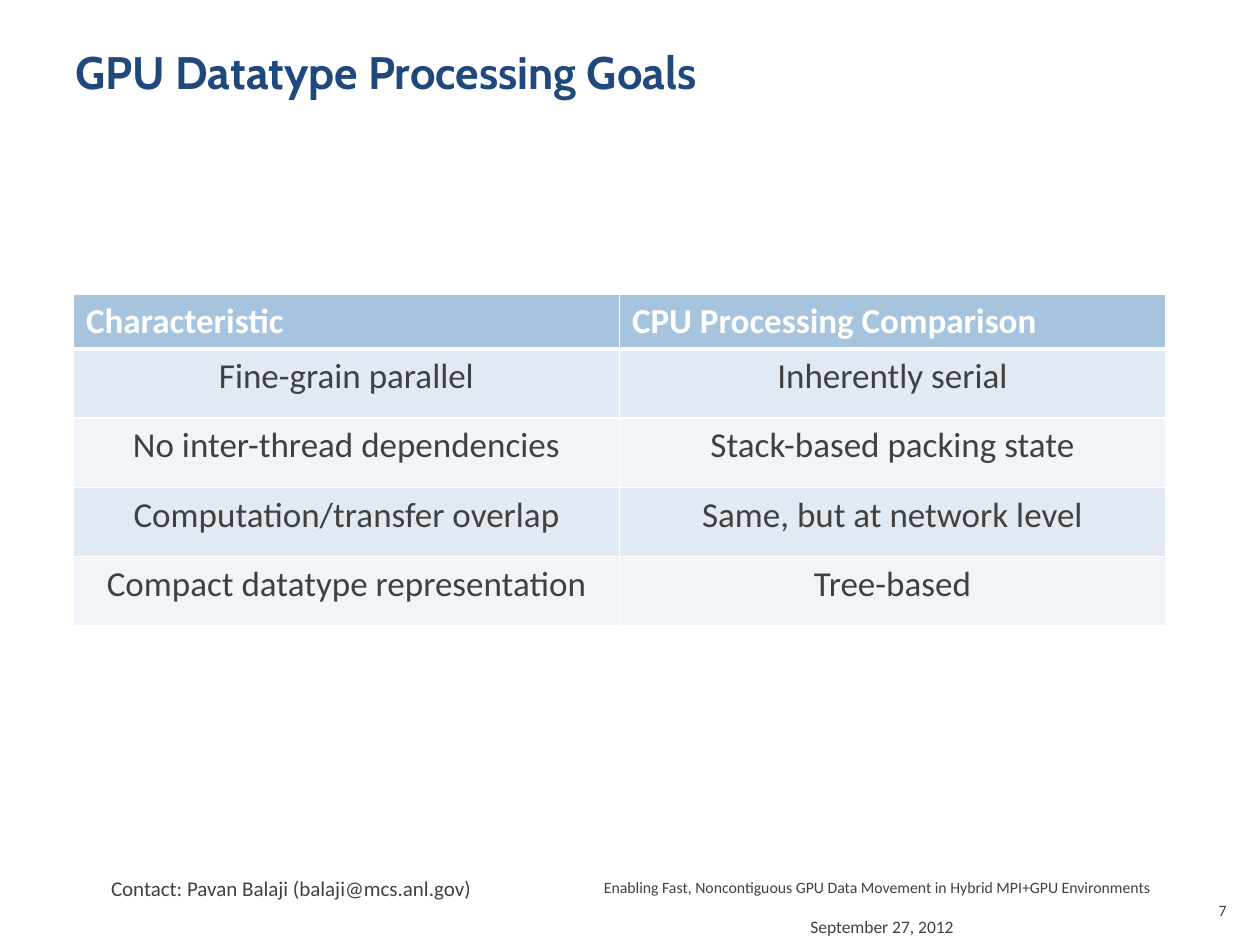
from lxml import etree
from pptx import Presentation
from pptx.dml.color import RGBColor
from pptx.enum import text
from pptx.oxml import ns
from pptx.util import Pt

HUES = {"title": "1F497D", "body": "404040", "head": "A6C4DE",
        "odd": "E1EAF2", "even": "F1F5F9", "white": "FFFFFF"}
LEFT, MID, RIGHT = (text.PP_ALIGN.LEFT, text.PP_ALIGN.CENTER,
                    text.PP_ALIGN.RIGHT)
ROWS = [
    ("Characteristic", "CPU Processing Comparison"),
    ("Fine-grain parallel", "Inherently serial"),
    ("No inter-thread dependencies", "Stack-based packing state"),
    ("Computation/transfer overlap", "Same, but at network level"),
    ("Compact datatype representation", "Tree-based"),
]


def style(para, words, size, hue="body", face="Calibri", bold=False,
          align=LEFT):
    para.alignment = align
    run = para.add_run()
    run.text = words
    look = {"size": Pt(size), "name": face, "bold": bold}
    for key, value in look.items():
        setattr(run.font, key, value)
    run.font.color.rgb = RGBColor.from_string(HUES[hue])


def label(slide, area, words, size, wrap=True, **look):
    frame = slide.shapes.add_textbox(*map(Pt, area)).text_frame
    frame.word_wrap = wrap
    frame.vertical_anchor = text.MSO_ANCHOR.TOP
    style(frame.paragraphs[0], words, size, **look)


def border(cell, sides):
    props = cell._tc.get_or_add_tcPr()
    for spot, (side, width) in enumerate(sides.items()):
        line = etree.Element(ns.qn("a:ln" + side), w=str(Pt(width)))
        fill = etree.SubElement(line, ns.qn("a:solidFill"))
        etree.SubElement(fill, ns.qn("a:srgbClr"), val=HUES["white"])
        props.insert(spot, line)


def grid(slide, left, top, wide, heads, high):
    count = len(ROWS)
    total = heads + high * (count - 1)
    table = slide.shapes.add_table(
        count, 2, Pt(left), Pt(top), Pt(wide), Pt(total)).table
    for r, row in enumerate(ROWS):
        first = r == 0
        table.rows[r].height = Pt(heads if first else high)
        shade = "head" if first else "odd" if r % 2 else "even"
        look = ({"hue": "white", "bold": True} if first
                else {"align": MID})
        for c, words in enumerate(row):
            cell = table.cell(r, c)
            cell.fill.solid()
            cell.fill.fore_color.rgb = RGBColor.from_string(HUES[shade])
            border(cell, {"L": 1, "R": 1, "T": 3 if r == 1 else 1,
                          "B": 3 if first else 1})
            style(cell.text_frame.paragraphs[0], words, 20, **look)


def main():
    deck = Presentation()
    deck.slide_width, deck.slide_height = Pt(720), Pt(540)
    slide = deck.slides.add_slide(deck.slide_layouts[6])
    label(slide, (54, 497, 222.5, 21.6),
          "Contact: Pavan Balaji (balaji@mcs.anl.gov)", 12, wrap=False,
          align=RIGHT)
    label(slide, (36, 21.6, 648, 90), "GPU Datatype Processing Goals", 26,
          hue="title", face="Cabin", bold=True)
    grid(slide, 42, 168, 624, 31.5, 39.5)
    label(slide, (456, 520, 108, 16.5), "September 27, 2012", 10)
    label(slide, (300, 498, 364, 18),
          "Enabling Fast, Noncontiguous GPU Data Movement in Hybrid "
          "MPI+GPU Environments", 9, align=RIGHT)
    label(slide, (678, 511, 30, 29), "7", 9, align=RIGHT)
    deck.save("out.pptx")


if __name__ == "__main__":
    main()
